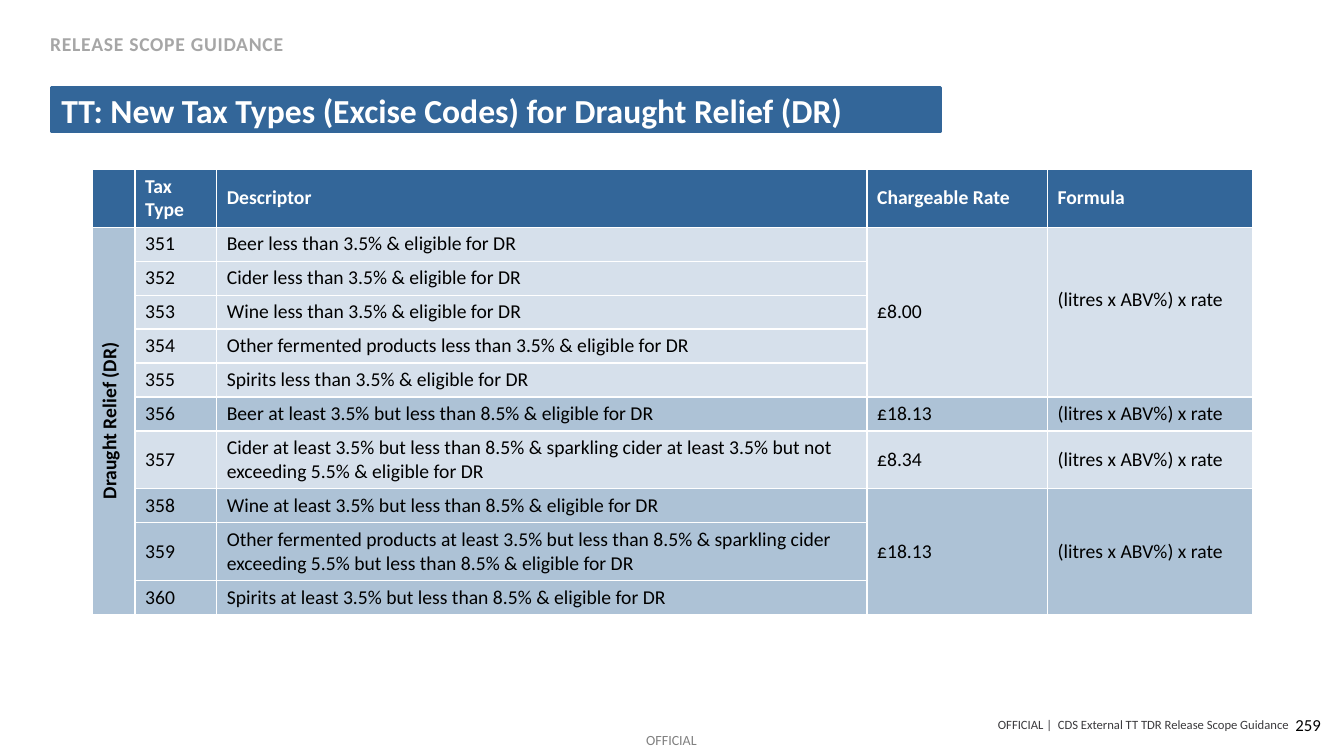
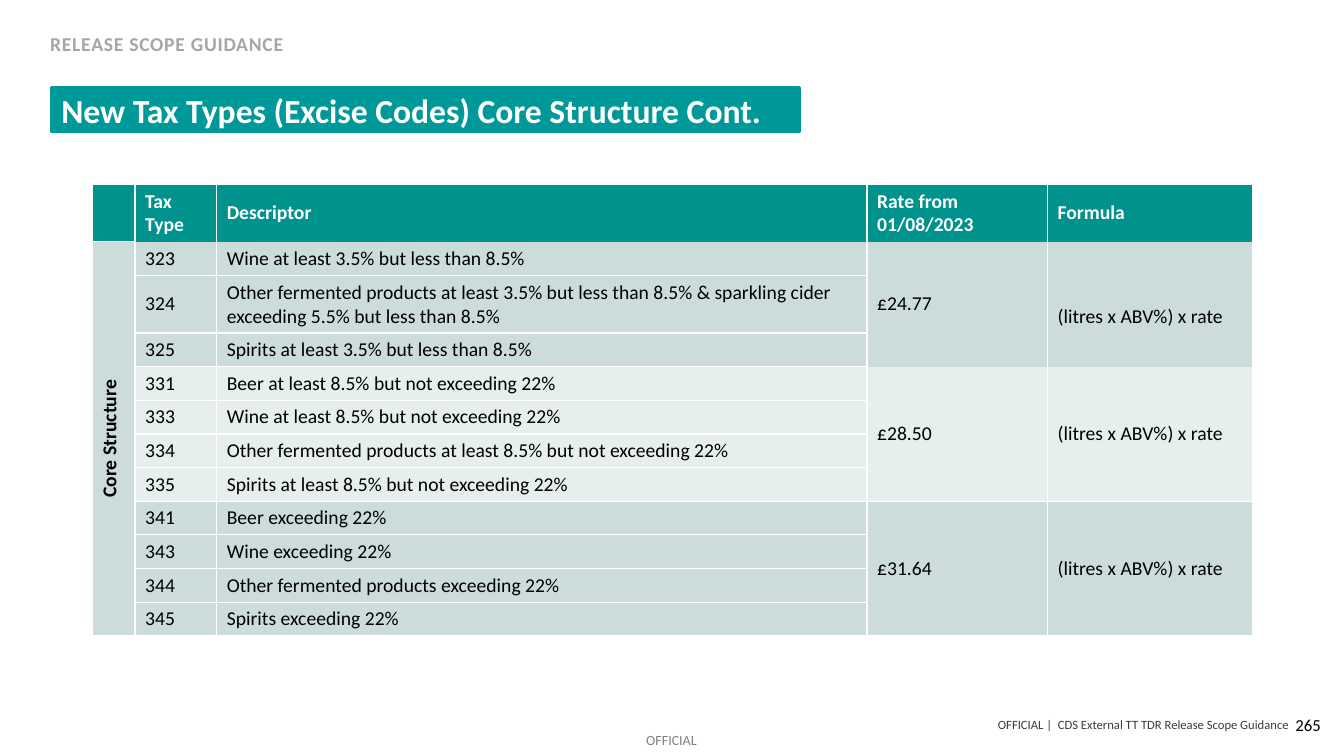
from lxml.etree import SubElement
from pptx import Presentation
from pptx.dml.color import RGBColor
from pptx.enum.shapes import MSO_SHAPE
from pptx.enum.text import MSO_ANCHOR, PP_ALIGN
from pptx.oxml.ns import qn
from pptx.util import Inches, Pt

# Shared look
FONT = "Calibri"
WHITE, BLACK = "FFFFFF", "000000"
SECTION_GREY, FOOTER_GREY, MARKING_GREY = "A6A6A6", "3B3A3D", "808080"

# Shared table layout
COLUMN_WIDTHS = [0.42, 0.81, 6.45, 1.79, 2.03]
RATE_COLUMN, FORMULA_COLUMN = 3, 4
ONE_LINE, TWO_LINES = 0.33, 0.57
LINE_CAPACITY = 80
FORMULA = "(litres x ABV%) x rate"

# Each group: rate, fill, then its tax types and descriptors
DRAUGHT_LIGHT, DRAUGHT_MID = "D6E0EB", "ADC2D6"
DRAUGHT_GROUPS = [
    ("£8.00", DRAUGHT_LIGHT, [
        ("351", "Beer less than 3.5% & eligible for DR"),
        ("352", "Cider less than 3.5% & eligible for DR"),
        ("353", "Wine less than 3.5% & eligible for DR"),
        ("354", "Other fermented products less than 3.5% & eligible for DR"),
        ("355", "Spirits less than 3.5% & eligible for DR"),
    ]),
    ("£18.13", DRAUGHT_MID, [
        ("356", "Beer at least 3.5% but less than 8.5% & eligible for DR"),
    ]),
    ("£8.34", DRAUGHT_LIGHT, [
        ("357", "Cider at least 3.5% but less than 8.5% & sparkling cider "
                "at least 3.5% but not exceeding 5.5% & eligible for DR"),
    ]),
    ("£18.13", DRAUGHT_MID, [
        ("358", "Wine at least 3.5% but less than 8.5% & eligible for DR"),
        ("359", "Other fermented products at least 3.5% but less than 8.5% & "
                "sparkling cider exceeding 5.5% but less than 8.5% & eligible for DR"),
        ("360", "Spirits at least 3.5% but less than 8.5% & eligible for DR"),
    ]),
]

CORE_LIGHT, CORE_MID = "E7EEEE", "CBDCDB"
CORE_GROUPS = [
    ("£24.77", CORE_MID, [
        ("323", "Wine at least 3.5% but less than 8.5%"),
        ("324", "Other fermented products at least 3.5% but less than 8.5% & "
                "sparkling cider exceeding 5.5% but less than 8.5%"),
        ("325", "Spirits at least 3.5% but less than 8.5%"),
    ]),
    ("£28.50", CORE_LIGHT, [
        ("331", "Beer at least 8.5% but not exceeding 22%"),
        ("333", "Wine at least 8.5% but not exceeding 22%"),
        ("334", "Other fermented products at least 8.5% but not exceeding 22%"),
        ("335", "Spirits at least 8.5% but not exceeding 22%"),
    ]),
    ("£31.64", CORE_MID, [
        ("341", "Beer exceeding 22%"),
        ("343", "Wine exceeding 22%"),
        ("344", "Other fermented products exceeding 22%"),
        ("345", "Spirits exceeding 22%"),
    ]),
]


def rgb(value):
    return RGBColor.from_string(value)


def write(frame, text, size, color, bold=False, align=PP_ALIGN.LEFT):
    frame.text = text
    paragraph = frame.paragraphs[0]
    paragraph.alignment = align
    font = paragraph.font
    font.name, font.size, font.bold = FONT, Pt(size), bold
    font.color.rgb = rgb(color)
    return paragraph


def add_label(slide, box, text, size, color, bold=False, align=PP_ALIGN.LEFT,
              anchor=MSO_ANCHOR.TOP, inset=True, wrap=True):
    frame = slide.shapes.add_textbox(*map(Inches, box)).text_frame
    frame.word_wrap = wrap
    frame.vertical_anchor = anchor
    if not inset:
        frame.margin_left = frame.margin_right = 0
        frame.margin_top = frame.margin_bottom = 0
    return write(frame, text, size, color, bold, align)


def add_title_band(slide, text, width, color):
    band = slide.shapes.add_shape(
        MSO_SHAPE.RECTANGLE, *map(Inches, (0.51, 0.87, width, 0.44)))
    band.shadow.inherit = False
    band.fill.solid()
    band.fill.fore_color.rgb = band.line.color.rgb = rgb(color)
    band.line.width = Pt(2)
    band.text_frame.vertical_anchor = MSO_ANCHOR.MIDDLE
    write(band.text_frame, text, 24, WHITE, bold=True)


def add_frame(slide, title, title_width, title_color, page):
    """Section label, title band, footers and page number."""
    section = add_label(slide, (0.4, 0.27, 2.54, 0.34), "RELEASE SCOPE GUIDANCE",
                        14, SECTION_GREY, bold=True, wrap=False)
    section.runs[0].font.size = Pt(14)
    section.runs[0].font._element.set("spc", "50")
    add_title_band(slide, title, title_width, title_color)
    add_label(slide, (3.22, 7.11, 9.56, 0.16),
              "OFFICIAL |  CDS External TT TDR Release Scope Guidance", 9, FOOTER_GREY,
              align=PP_ALIGN.RIGHT, anchor=MSO_ANCHOR.MIDDLE, inset=False)
    add_label(slide, (6.41, 7.26, 0.53, 0.17), "OFFICIAL", 10, MARKING_GREY,
              inset=False, wrap=False)
    add_label(slide, (10.2, 6.99, 3, 0.4), page, 12, BLACK,
              align=PP_ALIGN.RIGHT, anchor=MSO_ANCHOR.MIDDLE)


def style_cell(cell, fill, open_sides=""):
    """White borders, except on the open sides, and a plain fill."""
    properties = cell._tc.get_or_add_tcPr()
    for side in "LRTB":
        border = SubElement(properties, qn(f"a:ln{side}"), w=str(Pt(1)))
        if side in open_sides:
            SubElement(border, qn("a:noFill"))
        else:
            solid = SubElement(border, qn("a:solidFill"))
            SubElement(solid, qn("a:srgbClr"), val=WHITE)
    cell.fill.solid()
    cell.fill.fore_color.rgb = rgb(fill)
    cell.vertical_anchor = MSO_ANCHOR.MIDDLE


def add_tax_table(slide, top, rate_heading, side_label, header_fill, side_fill,
                  groups, open_edges=()):
    """Return the table; open_edges lists (row, column) without a bottom border."""
    entries = [(entry, fill) for _, fill, rows in groups for entry in rows]
    heights = [TWO_LINES] + [
        TWO_LINES if len(descriptor) > LINE_CAPACITY else ONE_LINE
        for (_, descriptor), _ in entries]
    table = slide.shapes.add_table(
        len(heights), len(COLUMN_WIDTHS), Inches(0.92), Inches(top),
        Inches(sum(COLUMN_WIDTHS)), Inches(sum(heights))).table
    table.horz_banding = False
    for column, width in zip(table.columns, COLUMN_WIDTHS):
        column.width = Inches(width)
    for row, height in zip(table.rows, heights):
        row.height = Inches(height)

    # Fills and borders
    row_fills = [header_fill] + [fill for _, fill in entries]
    for r, row_fill in enumerate(row_fills):
        for c in range(len(COLUMN_WIDTHS)):
            open_sides = ("B" if (r, c) in open_edges else "") + (
                "T" if (r - 1, c) in open_edges else "")
            fill = side_fill if r and c == 0 else row_fill
            style_cell(table.cell(r, c), fill, open_sides)

    # Header and side label
    headings = ["Tax Type", "Descriptor", rate_heading, "Formula"]
    for c, heading in enumerate(headings, 1):
        write(table.cell(0, c).text_frame, heading, 14, WHITE, bold=True)
    side = table.cell(1, 0)
    side.merge(table.cell(len(entries), 0))
    side._tc.get_or_add_tcPr().set("vert", "vert270")
    write(side.text_frame, side_label, 14, BLACK, bold=True, align=PP_ALIGN.CENTER)

    # Tax types, with the rate and formula shared by each group
    first = 1
    for rate, _, rows in groups:
        for r, entry in enumerate(rows, first):
            for c, text in enumerate(entry, 1):
                write(table.cell(r, c).text_frame, text, 14, BLACK)
        for c, text in ((RATE_COLUMN, rate), (FORMULA_COLUMN, FORMULA)):
            shared = table.cell(first, c)
            if len(rows) > 1:
                shared.merge(table.cell(first + len(rows) - 1, c))
            write(shared.text_frame, text, 14, BLACK)
        first += len(rows)
    return table


def main():
    deck = Presentation()
    deck.slide_width, deck.slide_height = Inches(13.33), Inches(7.5)
    blank = deck.slide_layouts[6]

    # Draught Relief
    draught = deck.slides.add_slide(blank)
    draught_table = add_tax_table(
        draught, 1.68, "Chargeable Rate", "Draught Relief (DR)",
        "336699", DRAUGHT_MID, DRAUGHT_GROUPS)
    draught_table.cell(1, FORMULA_COLUMN).margin_bottom = Inches(0.29)
    add_frame(draught, "TT: New Tax Types (Excise Codes) for Draught Relief (DR)",
              8.82, "336699", "259")

    # Core Structure
    core = deck.slides.add_slide(blank)
    header_edges = [(0, c) for c in range(1, 5)]
    first_group_edges = [(3, RATE_COLUMN), (3, FORMULA_COLUMN),
                         (1, RATE_COLUMN), (1, FORMULA_COLUMN)]
    core_table = add_tax_table(
        core, 1.83, "Rate from 01/08/2023", "Core Structure",
        "00928C", CORE_MID, CORE_GROUPS, header_edges + first_group_edges)
    core_table.cell(1, FORMULA_COLUMN).margin_top = Inches(0.29)
    add_frame(core, "New Tax Types (Excise Codes) Core Structure Cont.",
              7.42, "009999", "265")

    deck.save("out.pptx")


if __name__ == "__main__":
    main()
